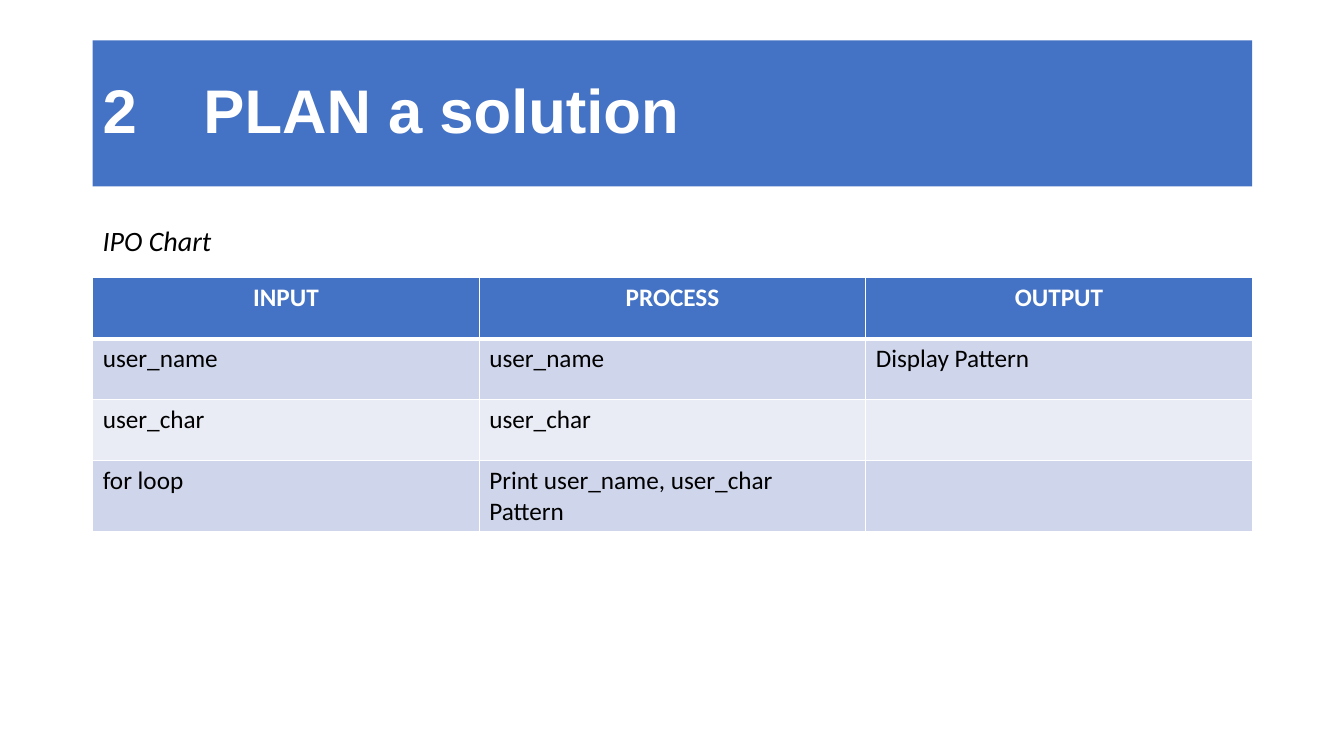
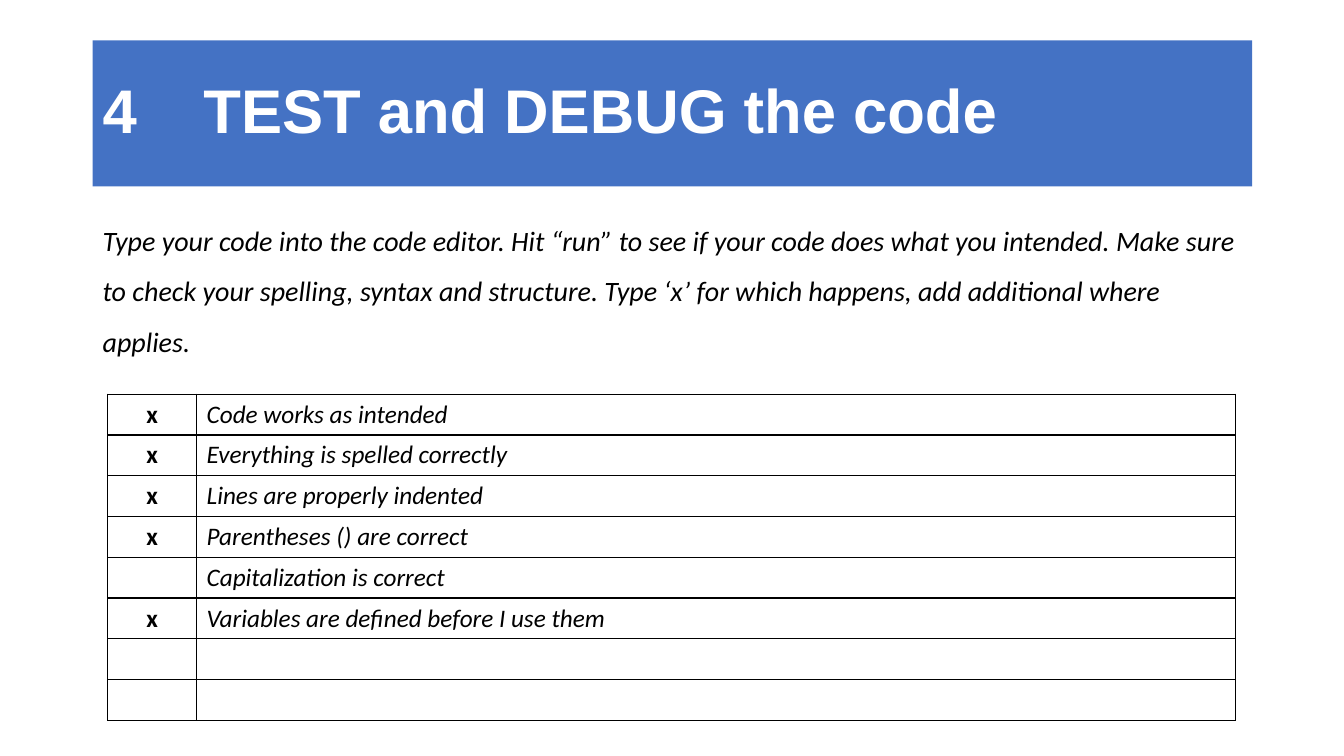
"""Builds two worksheet slides: an IPO chart and a test-and-debug checklist."""
import pptx
import pptx.dml.color
import pptx.enum.shapes
import pptx.enum.text
import pptx.oxml
import pptx.oxml.ns
import pptx.util

Inches = pptx.util.Inches
Pt = pptx.util.Pt
RGBColor = pptx.dml.color.RGBColor
ALIGN = pptx.enum.text.PP_ALIGN
ANCHOR = pptx.enum.text.MSO_ANCHOR

BLUE = RGBColor(0x44, 0x72, 0xC4)
BAND_DARK = RGBColor(0xCF, 0xD5, 0xEA)
BAND_LIGHT = RGBColor(0xE9, 0xEB, 0xF5)
WHITE = RGBColor(0xFF, 0xFF, 0xFF)
BLACK = RGBColor(0x00, 0x00, 0x00)

LEFT, WIDTH = 0.92, 11.5
NAMESPACE = pptx.oxml.ns.nsdecls("a")


def style_text(frame, size, color, name="Calibri", bold=False, italic=False, align=ALIGN.LEFT):
    """Give every paragraph of a text frame one font and alignment."""
    for para in frame.paragraphs:
        para.alignment = align
        para.font.name = name
        para.font.size = Pt(size)
        para.font.color.rgb = color
        para.font.bold = bold
        para.font.italic = italic


def set_borders(cell, color, top=1, bottom=1):
    """Draw solid lines on the four sides of a cell, widths in points."""
    properties = cell._tc.get_or_add_tcPr()
    for side, width in (("L", 1), ("R", 1), ("T", top), ("B", bottom)):
        properties.append(pptx.oxml.parse_xml(
            f'<a:ln{side} {NAMESPACE} w="{Pt(width)}">'
            f'<a:solidFill><a:srgbClr val="{color}"/></a:solidFill></a:ln{side}>'))


deck = pptx.Presentation()
deck.slide_width = Inches(13.33)
deck.slide_height = Inches(7.5)

PAGES = [
    ("2\tPLAN a solution", "IPO Chart"),
    ("4\tTEST and DEBUG the code",
     "Type your code into the code editor. Hit “run” to see if your code does what you "
     "intended. Make sure to check your spelling, syntax and structure. Type ‘x’ for which "
     "happens, add additional where applies."),
]
for title, instruction in PAGES:
    page = deck.slides.add_slide(deck.slide_layouts[6])

    banner = page.shapes.add_shape(
        pptx.enum.shapes.MSO_SHAPE.RECTANGLE,
        Inches(LEFT), Inches(0.4), Inches(WIDTH), Inches(1.45))
    banner.shadow.inherit = False
    banner.fill.solid()
    banner.fill.fore_color.rgb = BLUE
    banner.line.fill.background()
    banner.text_frame.text = title
    banner.text_frame.vertical_anchor = ANCHOR.MIDDLE
    heading = banner.text_frame.paragraphs[0]
    heading.line_spacing = 0.9
    heading._p.get_or_add_pPr().append(pptx.oxml.parse_xml(
        f'<a:tabLst {NAMESPACE}><a:tab pos="{Inches(1)}" algn="l"/></a:tabLst>'))
    style_text(banner.text_frame, 44, WHITE, name="Arial", bold=True)

    box = page.shapes.add_textbox(Inches(LEFT), Inches(2), Inches(WIDTH), Inches(4.76))
    box.text_frame.word_wrap = True
    box.text_frame.text = instruction
    box.text_frame.paragraphs[0].line_spacing = 1.5
    box.text_frame.paragraphs[0].space_before = Pt(10)
    style_text(box.text_frame, 20, BLACK, italic=True)

plan_page, test_page = deck.slides

IPO_ROWS = [
    ("INPUT", "PROCESS", "OUTPUT"),
    ("user_name", "user_name", "Display Pattern"),
    ("user_char", "user_char", ""),
    ("for loop", "Print user_name, user_char\nPattern", ""),
]
IPO_HEIGHTS = [0.61, 0.6, 0.61, 0.7]
ipo_chart = plan_page.shapes.add_table(
    len(IPO_ROWS), 3, Inches(LEFT), Inches(2.75), Inches(WIDTH), Inches(sum(IPO_HEIGHTS))).table
for row, texts in enumerate(IPO_ROWS):
    ipo_chart.rows[row].height = Inches(IPO_HEIGHTS[row])
    header = row == 0
    for column, text in enumerate(texts):
        cell = ipo_chart.cell(row, column)
        cell.text = text
        set_borders(cell, WHITE, top=3 if row == 1 else 1, bottom=3 if header else 1)
        cell.fill.solid()
        cell.fill.fore_color.rgb = BLUE if header else BAND_DARK if row % 2 else BAND_LIGHT
        style_text(cell.text_frame, 18, WHITE if header else BLACK, bold=header,
                   align=ALIGN.CENTER if header else ALIGN.LEFT)

CHECKS = [
    ("x", "Code works as intended"),
    ("x", "Everything is spelled correctly"),
    ("x", "Lines are properly indented"),
    ("x", "Parentheses () are correct"),
    ("", "Capitalization is correct"),
    ("x", "Variables are defined before I use them"),
    ("", ""),
    ("", ""),
]
CHECK_WIDTHS = [0.88, 10.3]
checklist = test_page.shapes.add_table(
    len(CHECKS), 2, Inches(1.07), Inches(3.91),
    Inches(sum(CHECK_WIDTHS)), Inches(3.24)).table
checklist.first_row = False
checklist.horz_banding = False
for column, width in enumerate(CHECK_WIDTHS):
    checklist.columns[column].width = Inches(width)
for row, texts in enumerate(CHECKS):
    for column, text in enumerate(texts):
        cell = checklist.cell(row, column)
        cell.text = text
        set_borders(cell, BLACK)
        cell.fill.background()
        mark = column == 0
        style_text(cell.text_frame, 18, BLACK, bold=mark, italic=not mark,
                   align=ALIGN.CENTER if mark else ALIGN.LEFT)

deck.save("out.pptx")
